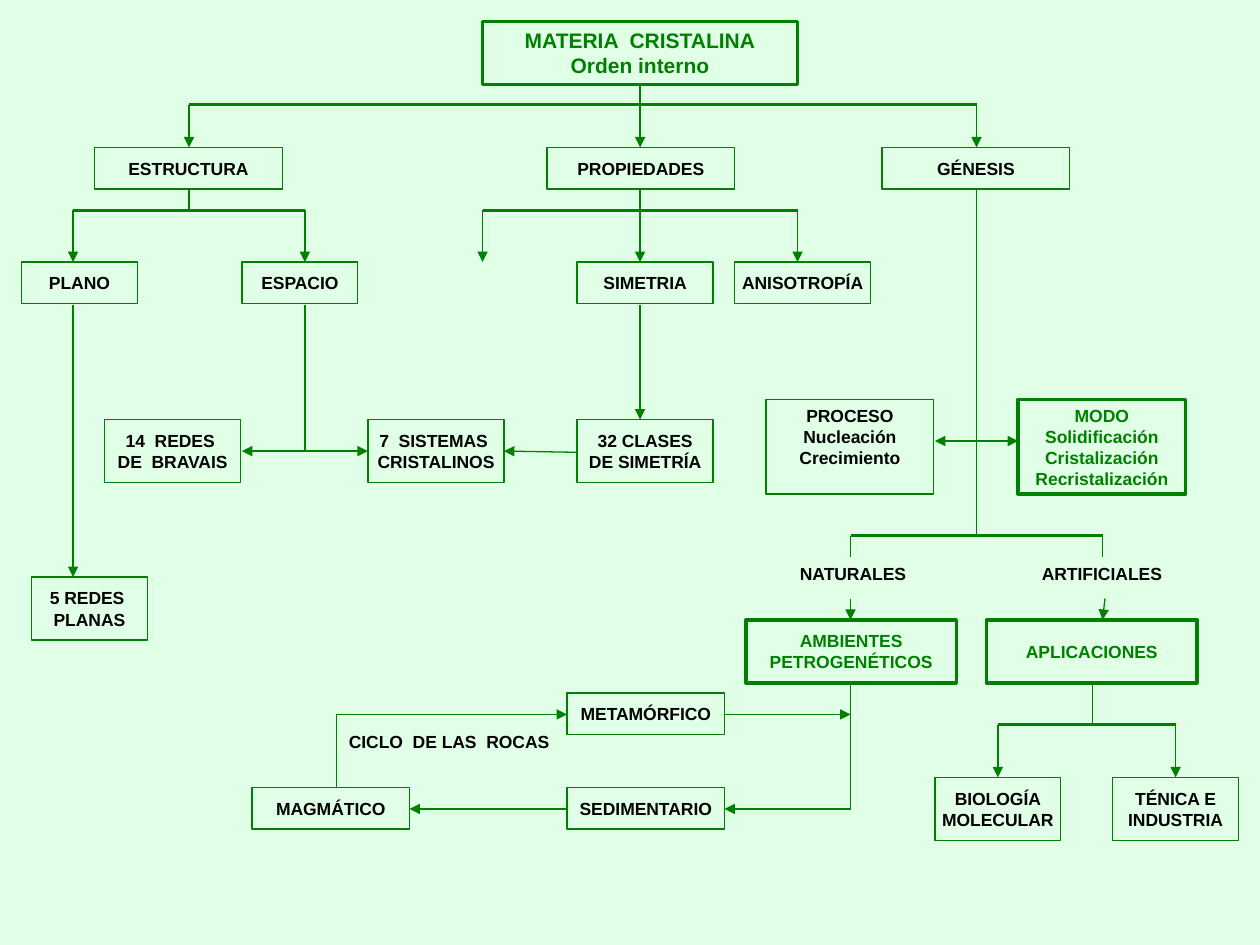
from dataclasses import dataclass

from lxml.etree import SubElement
from pptx import Presentation
from pptx.dml.color import RGBColor
from pptx.enum.shapes import MSO_CONNECTOR as Connector, MSO_SHAPE as Shape
from pptx.enum.text import MSO_ANCHOR as Anchor, PP_ALIGN as Align
from pptx.oxml.ns import qn
from pptx.slide import Slide
from pptx.text.text import TextFrame
from pptx.util import Inches, Pt


@dataclass(frozen=True)
class Theme:
    background: RGBColor = RGBColor(0xE1, 0xFF, 0xE6)
    green: RGBColor = RGBColor(0x00, 0x80, 0x00)
    black: RGBColor = RGBColor(0x00, 0x00, 0x00)
    font: str = "Arial"
    title_size: float = 12
    body_size: float = 10
    thin: float = 0.75
    bar: float = 1.5
    thick: float = 2


@dataclass(frozen=True)
class Box:
    left: float
    top: float
    width: float
    height: float
    lines: tuple[str, ...]
    key: bool = False  # green text and thick border
    size: float = Theme.body_size
    anchor: Anchor = Anchor.MIDDLE


@dataclass(frozen=True)
class Label:
    left: float
    top: float
    width: float
    text: str


@dataclass(frozen=True)
class Line:
    start: tuple[float, float]
    end: tuple[float, float]
    arrow: bool = True
    width: float = Theme.thin


@dataclass(frozen=True)
class Fork:
    """A stem down to a horizontal bar, with branches below it."""
    stem_x: float
    stem_top: float
    bar_y: float
    branches: tuple[float, ...]
    bottom: float
    arrow: bool = True


THEME = Theme()
ROW_HEIGHT, TALL_HEIGHT = 0.33, 0.5

BOXES = [
    Box(3.83, 0.17, 2.5, TALL_HEIGHT, ("MATERIA  CRISTALINA", "Orden interno"),
        key=True, size=THEME.title_size),
    # Main branches
    Box(0.75, 1.17, 1.49, ROW_HEIGHT, ("ESTRUCTURA",)),
    Box(4.34, 1.17, 1.49, ROW_HEIGHT, ("PROPIEDADES",)),
    Box(7, 1.17, 1.49, ROW_HEIGHT, ("GÉNESIS",)),
    # Structure and properties
    Box(0.17, 2.08, 0.92, ROW_HEIGHT, ("PLANO",)),
    Box(1.92, 2.08, 0.92, ROW_HEIGHT, ("ESPACIO",)),
    Box(4.58, 2.08, 1.08, ROW_HEIGHT, ("SIMETRIA",)),
    Box(5.83, 2.08, 1.08, ROW_HEIGHT, ("ANISOTROPÍA",)),
    Box(0.25, 4.58, 0.92, TALL_HEIGHT, ("5 REDES ", "PLANAS")),
    Box(0.83, 3.33, 1.08, TALL_HEIGHT, ("14  REDES ", "DE  BRAVAIS")),
    Box(2.92, 3.33, 1.08, TALL_HEIGHT, ("7  SISTEMAS ", "CRISTALINOS")),
    Box(4.58, 3.33, 1.08, TALL_HEIGHT, ("32 CLASES\vDE SIMETRÍA",)),
    # Genesis
    Box(6.08, 3.17, 1.33, 0.75, ("PROCESO", "Nucleación", "Crecimiento"),
        anchor=Anchor.TOP),
    Box(8.08, 3.17, 1.33, 0.75,
        ("MODO", "Solidificación", "Cristalización", "Recristalización"), key=True),
    Box(5.92, 4.92, 1.67, TALL_HEIGHT, ("AMBIENTES", "PETROGENÉTICOS"), key=True),
    Box(7.83, 4.92, 1.67, TALL_HEIGHT, ("APLICACIONES",), key=True),
    Box(7.42, 6.17, 1, TALL_HEIGHT, ("BIOLOGÍA", "MOLECULAR")),
    Box(8.83, 6.17, 1, TALL_HEIGHT, ("TÉNICA E", "INDUSTRIA")),
    # Rock cycle
    Box(4.5, 5.5, 1.25, ROW_HEIGHT, ("METAMÓRFICO",)),
    Box(4.5, 6.25, 1.25, ROW_HEIGHT, ("SEDIMENTARIO",)),
    Box(2, 6.25, 1.25, ROW_HEIGHT, ("MAGMÁTICO",)),
]

LABELS = [
    Label(6.25, 4.42, 1.08, "NATURALES"),
    Label(8.17, 4.42, 1.25, "ARTIFICIALES"),
    Label(2.67, 5.75, 2, "CICLO  DE LAS  ROCAS"),
]

FORKS = [
    Fork(5.08, 0.67, 0.83, (1.5, 5.08, 7.75), 1.17),
    Fork(1.5, 1.5, 1.67, (0.58, 2.42), 2.08),
    Fork(5.08, 1.5, 1.67, (3.83, 5.08, 6.33), 2.08),
    Fork(7.75, 1.5, 4.25, (6.75, 8.75), 4.42, arrow=False),
    Fork(8.67, 5.42, 5.75, (7.92, 9.33), 6.17),
]

LINES = [
    # Lattices, systems and symmetry classes
    Line((0.58, 2.42), (0.58, 4.58)),
    Line((2.42, 2.42), (2.42, 3.58), arrow=False),
    Line((2.42, 3.58), (1.92, 3.58)),
    Line((2.42, 3.58), (2.92, 3.58)),
    Line((5.08, 2.42), (5.08, 3.33)),
    Line((4.58, 3.59), (4, 3.58)),
    # Process, mode and origins
    Line((7.75, 3.5), (7.42, 3.5)),
    Line((7.58, 3.5), (8.08, 3.5)),
    Line((6.75, 4.75), (6.75, 4.92)),
    Line((8.77, 4.75), (8.75, 4.92)),
    # Rock cycle
    Line((6.75, 5.42), (6.75, 6.42), arrow=False),
    Line((6.75, 6.42), (5.75, 6.42)),
    Line((4.5, 6.42), (3.25, 6.42)),
    Line((2.67, 5.67), (2.67, 6.25), arrow=False),
    Line((2.67, 5.67), (4.5, 5.67)),
    Line((5.75, 5.67), (6.75, 5.67)),
]


def write_text(frame: TextFrame, lines: tuple[str, ...], size: float,
               color: RGBColor, align: Align) -> None:
    frame.text = "\n".join(lines)
    for paragraph in frame.paragraphs:
        paragraph.alignment = align
        font = paragraph.font
        font.name, font.size, font.bold = THEME.font, Pt(size), True
        font.color.rgb = color


def draw_box(slide: Slide, box: Box) -> None:
    shape = slide.shapes.add_shape(Shape.RECTANGLE, Inches(box.left), Inches(box.top),
                                   Inches(box.width), Inches(box.height))
    shape.shadow.inherit = False
    shape.fill.solid()
    shape.fill.fore_color.rgb = THEME.background
    shape.line.color.rgb = THEME.green
    shape.line.width = Pt(THEME.thick if box.key else THEME.thin)
    frame = shape.text_frame
    frame.word_wrap = False
    frame.vertical_anchor = box.anchor
    frame.margin_left = frame.margin_right = Inches(0.09)
    frame.margin_top = frame.margin_bottom = Inches(0.04)
    write_text(frame, box.lines, box.size,
               THEME.green if box.key else THEME.black, Align.CENTER)


def draw_label(slide: Slide, label: Label) -> None:
    text_box = slide.shapes.add_textbox(Inches(label.left), Inches(label.top),
                                        Inches(label.width), Inches(0.27))
    text_box.text_frame.word_wrap = True
    write_text(text_box.text_frame, (label.text,), THEME.body_size, THEME.black, Align.LEFT)


def draw_line(slide: Slide, line: Line) -> None:
    ends = (Inches(value) for value in (*line.start, *line.end))
    connector = slide.shapes.add_connector(Connector.STRAIGHT, *ends)
    connector.line.color.rgb = THEME.green
    connector.line.width = Pt(line.width)
    if line.arrow:
        SubElement(connector.line._get_or_add_ln(), qn("a:tailEnd"), type="triangle")
    SubElement(connector._element.spPr, qn("a:effectLst"))


def draw_fork(slide: Slide, fork: Fork) -> None:
    bar_y = fork.bar_y
    draw_line(slide, Line((fork.stem_x, fork.stem_top), (fork.stem_x, bar_y), arrow=False))
    draw_line(slide, Line((fork.branches[0], bar_y), (fork.branches[-1], bar_y),
                          arrow=False, width=THEME.bar))
    for x in fork.branches:
        draw_line(slide, Line((x, bar_y), (x, fork.bottom), fork.arrow))


def main() -> None:
    presentation = Presentation()
    presentation.slide_width, presentation.slide_height = Inches(10), Inches(7.5)
    slide = presentation.slides.add_slide(presentation.slide_layouts[6])
    slide.background.fill.solid()
    slide.background.fill.fore_color.rgb = THEME.background
    # Connections lie beneath the boxes
    for draw, items in ((draw_fork, FORKS), (draw_line, LINES),
                        (draw_box, BOXES), (draw_label, LABELS)):
        for item in items:
            draw(slide, item)
    presentation.save("out.pptx")


if __name__ == "__main__":
    main()
